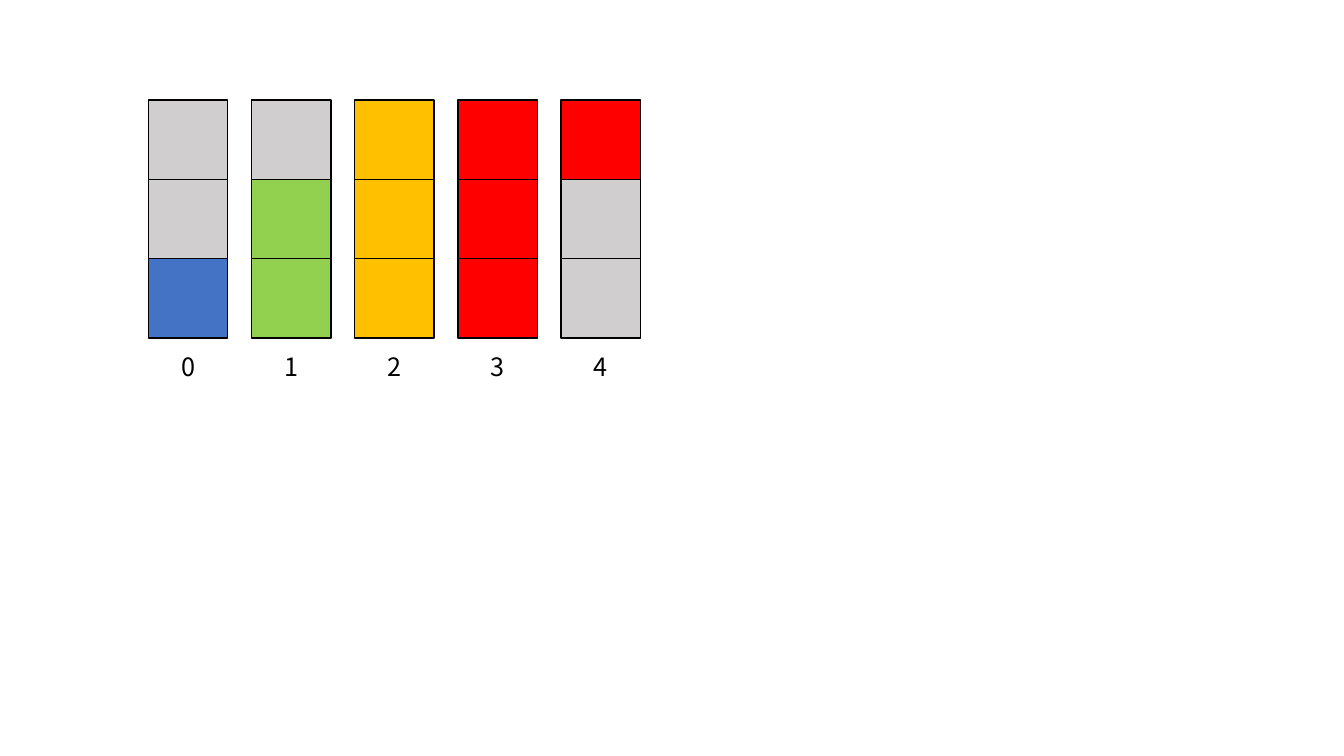
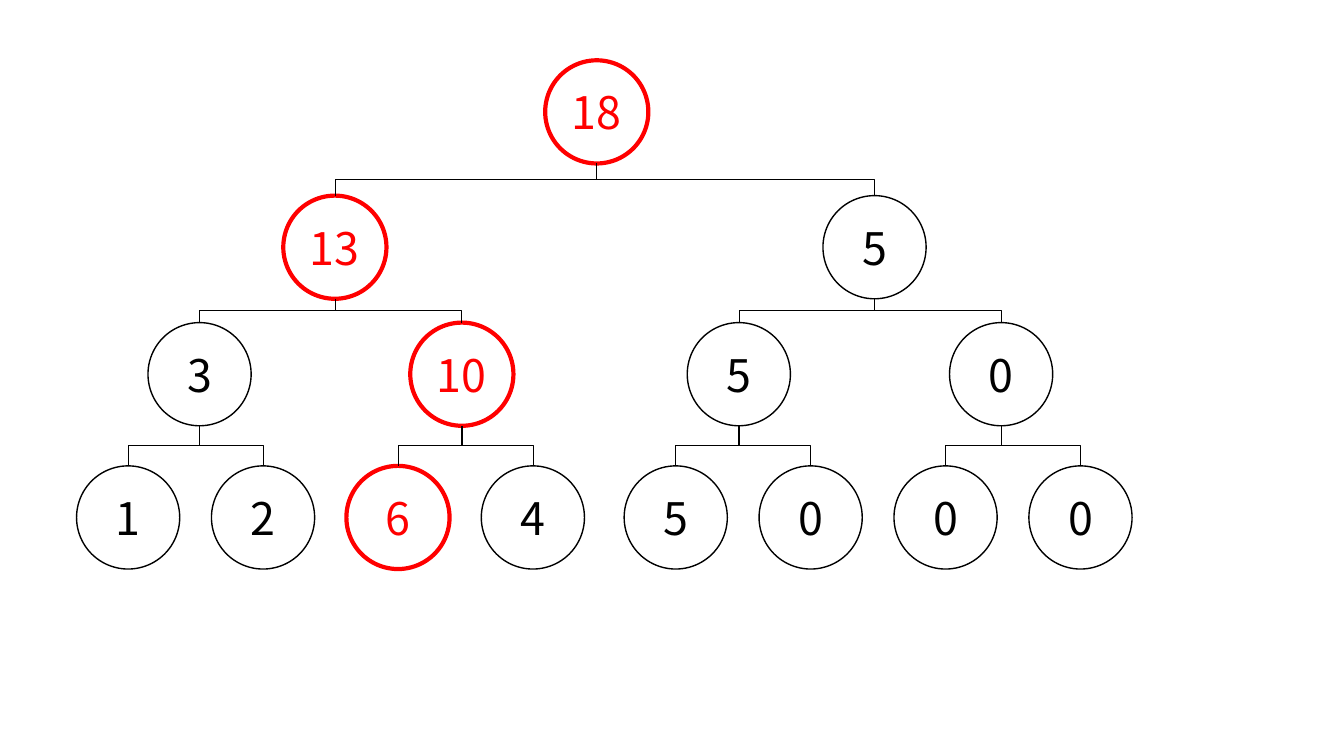
import pptx
import pptx.util
import pptx.dml.color
import pptx.enum.shapes
import pptx.enum.text
import pptx.oxml.ns
import lxml.etree
from dataclasses import dataclass

Cm, Pt = pptx.util.Cm, pptx.util.Pt
Kind = pptx.enum.shapes.MSO_SHAPE


# Theme
@dataclass(frozen=True)
class Theme:
    font: str = "Noto Sans CJK JP"
    black: str = "000000"
    white: str = "FFFFFF"
    grey: str = "D0CECE"
    blue: str = "4472C4"
    green: str = "92D050"
    amber: str = "FFC000"
    red: str = "FF0000"
    label_size: int = 18
    node_size: int = 32
    outline: float = 1
    strong_outline: float = 3
    branch: float = 0.5


theme = Theme()

# Content: level bars, each with cell colours from bottom to top
bars = [
    ("0", (theme.blue, theme.grey, theme.grey)),
    ("1", (theme.green, theme.green, theme.grey)),
    ("2", (theme.amber, theme.amber, theme.amber)),
    ("3", (theme.red, theme.red, theme.red)),
    ("4", (theme.grey, theme.grey, theme.red)),
]

# Content: tree rows as (top, [(left, value), ...]) in cm, root first
tree = [
    (1.52, [(13.74, "18")]),
    (4.93, [(7.14, "13"), (20.74, "5")]),
    (8.13, [(3.73, "3"), (10.34, "10"), (17.32, "5"), (23.93, "0")]),
    (11.74, [(1.93, "1"), (5.33, "2"), (8.73, "6"), (12.13, "4"),
             (15.73, "5"), (19.13, "0"), (22.53, "0"), (25.93, "0")]),
]
highlighted = {(0, 0), (1, 0), (2, 1), (3, 2)}  # (row, position)


# Shared helpers
def rgb(colour):
    return pptx.dml.color.RGBColor.from_string(colour)


def write(box, text, *, size, colour=theme.black):
    para = box.text_frame.paragraphs[0]
    para.alignment = pptx.enum.text.PP_ALIGN.CENTER
    span = para.add_run()
    span.text = text
    span.font.name = theme.font
    span.font.size = Pt(size)
    span.font.color.rgb = rgb(colour)


def add_outlined(page, kind, left, top, size, *, fill, line=theme.black,
                 weight=theme.outline):
    shape = page.shapes.add_shape(kind, Cm(left), Cm(top), Cm(size), Cm(size))
    shape.shadow.inherit = False
    shape.fill.solid()
    shape.fill.fore_color.rgb = rgb(fill)
    shape.line.color.rgb = rgb(line)
    shape.line.width = Pt(weight)
    return shape


def add_branch(page, parent, child):
    """Elbow from the bottom of the parent to the top of the child."""
    start_x, start_y = parent.left + parent.width // 2, parent.top + parent.height
    end_x, end_y = child.left + child.width // 2, child.top
    middle_x, middle_y = (start_x + end_x) // 2, (start_y + end_y) // 2
    half_drop, half_span = (end_y - start_y) // 2, abs(end_x - start_x) // 2
    side = 1 if end_x < start_x else -1
    branch = page.shapes.add_connector(
        pptx.enum.shapes.MSO_CONNECTOR.ELBOW,
        middle_x - side * half_drop, middle_y - half_span,
        middle_x + side * half_drop, middle_y + half_span)
    branch.line.color.rgb = rgb(theme.black)
    branch.line.width = Pt(theme.branch)

    # A quarter turn makes the elbow leave and arrive vertically
    element, qn = branch._element, pptx.oxml.ns.qn
    element.spPr.find(qn("a:xfrm")).set("rot", str((90 if side == 1 else 270) * 60000))
    lxml.etree.SubElement(element.spPr, qn("a:effectLst"))

    # Ellipse connection sites: 4 is the bottom, 0 is the top
    ends = element.find(".//" + qn("p:cNvCxnSpPr"))
    for tag, node, site in (("a:stCxn", parent, 4), ("a:endCxn", child, 0)):
        lxml.etree.SubElement(ends, qn(tag), id=str(node.shape_id), idx=str(site))


deck = pptx.Presentation()
deck.slide_width, deck.slide_height = Cm(33.87), Cm(19.05)
blank = deck.slide_layouts[6]

# Slide 1: level bars
page = deck.slides.add_slide(blank)
cell, bar_pitch, bars_left, bars_top = 2, 2.6, 3.74, 2.52
label_top, label_width, label_height = 8.74, 0.86, 1.03

for column, (label, colours) in enumerate(bars):
    left = bars_left + column * bar_pitch
    for level, colour in enumerate(colours):
        top = bars_top + (len(colours) - 1 - level) * cell
        add_outlined(page, Kind.RECTANGLE, left, top, cell, fill=colour)

for column, (label, colours) in enumerate(bars):
    left = bars_left + column * bar_pitch + (cell - label_width) / 2
    box = page.shapes.add_textbox(Cm(left), Cm(label_top),
                                  Cm(label_width), Cm(label_height))
    box.text_frame.word_wrap = False
    box.text_frame.auto_size = pptx.enum.text.MSO_AUTO_SIZE.SHAPE_TO_FIT_TEXT
    write(box, label, size=theme.label_size)

# Slide 2: binary tree with a highlighted path
page = deck.slides.add_slide(blank)
diameter = 2.6
nodes = []

for row, (top, entries) in enumerate(tree):
    nodes.append([])
    for position, (left, value) in enumerate(entries):
        on_path = (row, position) in highlighted
        colour = theme.red if on_path else theme.black
        weight = theme.strong_outline if on_path else theme.outline
        node = add_outlined(page, Kind.OVAL, left, top, diameter,
                            fill=theme.white, line=colour, weight=weight)
        node.text_frame.vertical_anchor = pptx.enum.text.MSO_ANCHOR.MIDDLE
        write(node, value, size=theme.node_size, colour=colour)
        nodes[row].append(node)

for parents, children in zip(nodes, nodes[1:]):
    for position, child in enumerate(children):
        add_branch(page, parents[position // 2], child)

deck.save("out.pptx")
